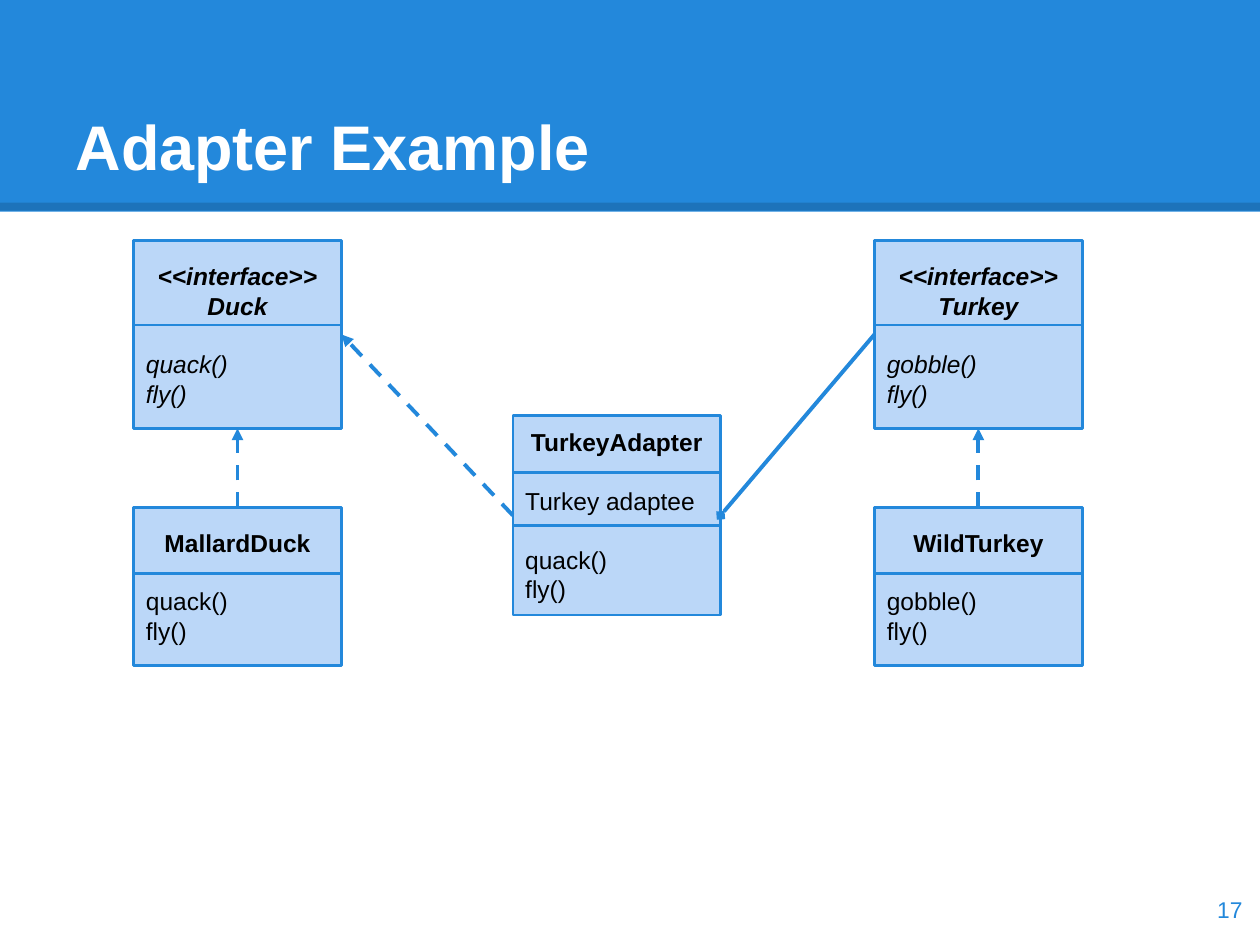
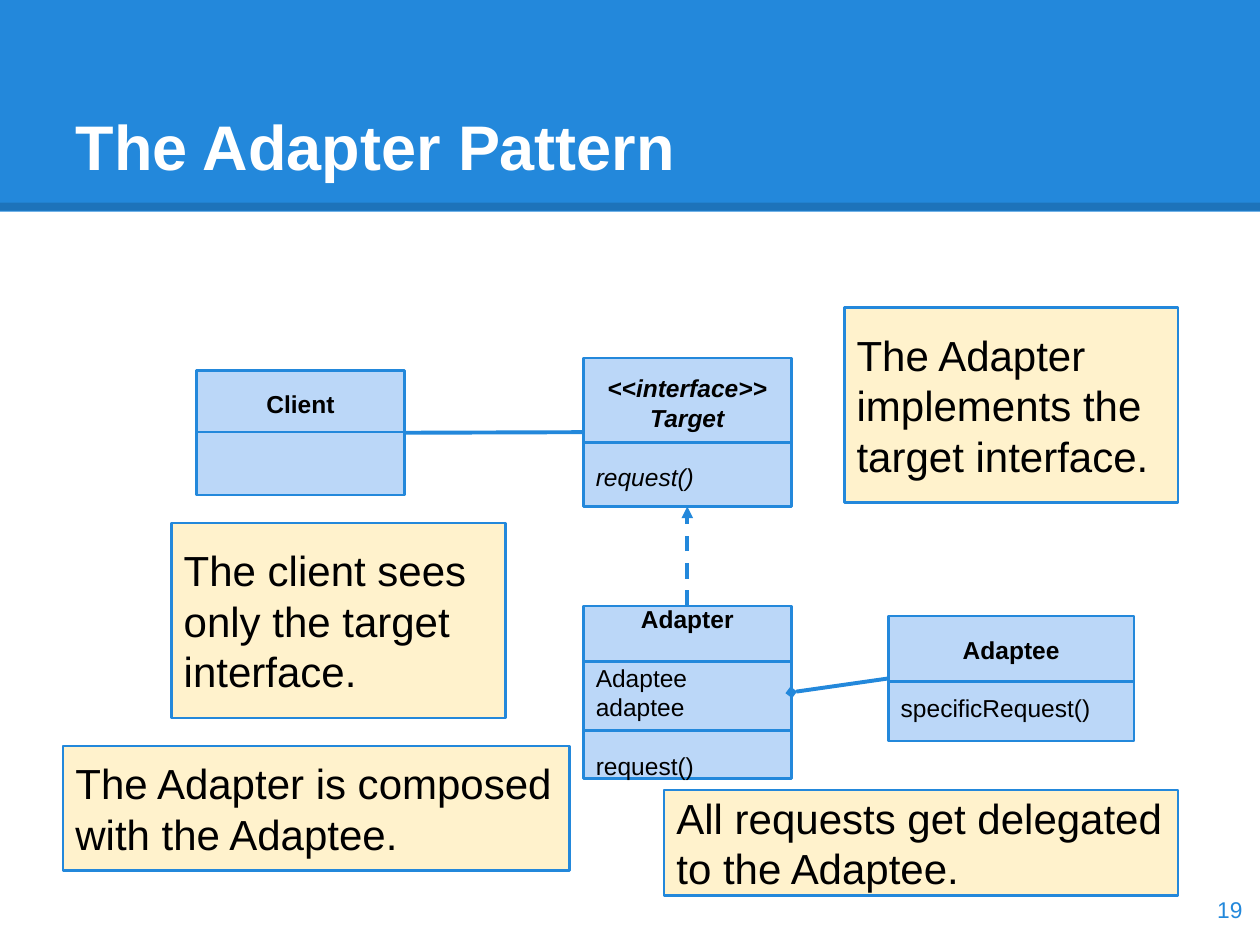
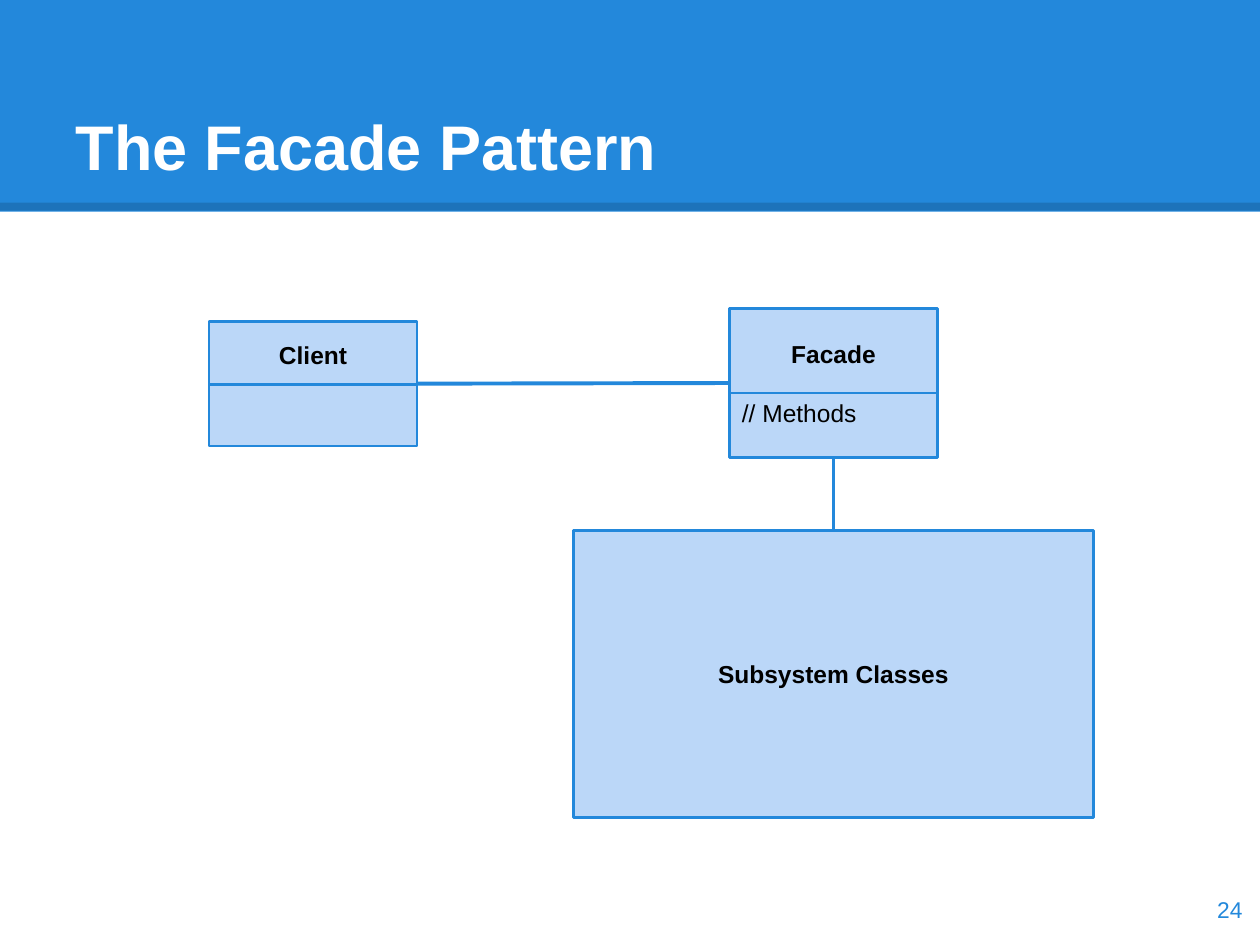
from lxml import etree
from pptx import Presentation
from pptx.dml.color import RGBColor
from pptx.enum import dml, shapes, text
from pptx.oxml.ns import qn
from pptx.util import Inches, Pt

COLORS = {
    "blue": "2388DB",
    "class": "BBD7F8",
    "note": "FFF2CC",
    "ink": "000000",
    "white": "FFFFFF",
}
FONT = "Arial"
CLASS_W = 1.65
INSET = 0.1
LINE_PT = 16.7  # height of one line of class text
TOP, LEFT, BOTTOM, RIGHT = range(4)  # connection sites of a rectangle


def rgb(name):
    return RGBColor.from_string(COLORS[name])


def style_runs(paragraph, size, color="ink", bold=False, italic=False):
    for run in paragraph.runs:
        font = run.font
        font.name, font.size = FONT, Pt(size)
        font.bold, font.italic = bold, italic
        font.color.rgb = rgb(color)


def set_frame(frame, anchor=text.MSO_ANCHOR.MIDDLE):
    frame.word_wrap = True
    frame.auto_size = text.MSO_AUTO_SIZE.NONE
    frame.vertical_anchor = anchor
    frame.margin_left = frame.margin_right = Inches(INSET)
    frame.margin_top = frame.margin_bottom = Inches(INSET)


def add_box(slide, x, y, w, h, fill, outlined=True):
    box = slide.shapes.add_shape(
        shapes.MSO_SHAPE.RECTANGLE, Inches(x), Inches(y), Inches(w), Inches(h))
    box.shadow.inherit = False
    box.fill.solid()
    box.fill.fore_color.rgb = rgb(fill)
    if outlined:
        box.line.color.rgb = rgb("blue")
        box.line.width = Pt(1.5)
    else:
        box.line.fill.background()
    set_frame(box.text_frame)
    return box


def add_line(slide, x1, y1, x2, y2, width, color="blue"):
    line = slide.shapes.add_connector(
        shapes.MSO_CONNECTOR.STRAIGHT,
        Inches(x1), Inches(y1), Inches(x2), Inches(y2))
    line.line.color.rgb = rgb(color)
    line.line.width = Pt(width)
    etree.SubElement(line.element.spPr, qn("a:effectLst"))
    return line


def add_class(slide, x, y, h, name, *sections, dividers=(), w=CLASS_W,
              italic=False, empty_lines=0):
    """Draw a UML class: its name, then sections of members under dividers."""
    box = add_box(slide, x, y, w, h, "class")
    frame = box.text_frame
    frame.margin_bottom = Inches(INSET + empty_lines * LINE_PT / 72)
    frame.text = name
    heading = frame.paragraphs[0]
    heading.alignment = text.PP_ALIGN.CENTER
    style_runs(heading, 14, bold=True, italic=italic)
    for section in sections:
        for i, member in enumerate(section):
            paragraph = frame.add_paragraph()
            paragraph.text = member
            paragraph.alignment = text.PP_ALIGN.LEFT
            if i == 0:
                paragraph.space_before = Pt(LINE_PT)
            style_runs(paragraph, 14, italic=italic)
    for divider in dividers:
        add_line(slide, x, divider, x + w, divider, 1.5)
    return box


def add_note(slide, x, y, w, h, words):
    frame = add_box(slide, x, y, w, h, "note").text_frame
    frame.text = words
    frame.paragraphs[0].alignment = text.PP_ALIGN.LEFT
    style_runs(frame.paragraphs[0], 24)


def relate(slide, start, start_site, end, end_site, dashed=False,
           head=None, tail=None):
    """Connect two boxes, with optional ends at the start and the finish."""
    link = add_line(slide, 0, 0, 1, 1, 2.25)
    link.begin_connect(start, start_site)
    link.end_connect(end, end_site)
    if dashed:
        link.line.dash_style = dml.MSO_LINE.DASH
    outline = link.element.spPr.find(qn("a:ln"))
    for tag, kind in (("a:headEnd", head), ("a:tailEnd", tail)):
        if kind:
            etree.SubElement(outline, qn(tag), type=kind)


def implement(slide, start, start_site, end, end_site):
    relate(slide, start, start_site, end, end_site, dashed=True, tail="triangle")


def set_up_layout(layout, slide):
    """Give the layout its title place and the band behind the title."""
    title = layout.placeholders[0]
    title.left, title.top = Inches(0.5), Inches(0.3)
    title.width, title.height = Inches(9), Inches(1.25)
    band = add_box(slide, 0, 0, 10, 1.68, "blue", outlined=False)
    edge = add_line(slide, 0, 1.64, 10, 1.64, 4.5, "ink")
    shade = edge.element.spPr.find(".//" + qn("a:srgbClr"))
    etree.SubElement(shade, qn("a:alpha"), val="15000")
    for position, part in enumerate((band, edge), start=2):
        layout.shapes.element.insert(position, part.element)


def add_slide(prs, layout, heading, number):
    slide = prs.slides.add_slide(layout)
    title = slide.shapes.title.text_frame
    set_frame(title, text.MSO_ANCHOR.BOTTOM)
    title.text = heading
    title.paragraphs[0].alignment = text.PP_ALIGN.LEFT
    style_runs(title.paragraphs[0], 36, "white", bold=True)
    page = slide.shapes.add_textbox(
        Inches(9.36), Inches(6.93), Inches(0.6), Inches(0.57)).text_frame
    set_frame(page)
    page.text = str(number)
    page.paragraphs[0].alignment = text.PP_ALIGN.RIGHT
    style_runs(page.paragraphs[0], 13, "blue")
    return slide


def draw_example(slide):
    # Each bird interface stands above its implementation
    birds = []
    for x, kind, concrete, call in ((1.06, "Duck", "MallardDuck", "quack()"),
                                    (6.94, "Turkey", "WildTurkey", "gobble()")):
        members = (call, "fly()")
        interface = add_class(slide, x, 1.91, 1.49, f"<<interface>> {kind}",
                              members, dividers=[2.58], italic=True)
        bird = add_class(slide, x, 4.03, 1.25, concrete, members, dividers=[4.55])
        implement(slide, bird, TOP, interface, BOTTOM)
        birds.append(interface)
    duck, turkey = birds

    # The adapter joins both
    adapter = add_class(slide, 4.07, 3.3, 1.58, "TurkeyAdapter",
                        ["Turkey adaptee"], ["quack()", "fly()"],
                        dividers=[3.75, 4.17])
    implement(slide, adapter, LEFT, duck, RIGHT)
    relate(slide, adapter, RIGHT, turkey, LEFT, head="diamond")


def draw_adapter_pattern(slide):
    # Classes
    client = add_class(slide, 1.56, 2.94, 0.99, "Client",
                       dividers=[3.43], empty_lines=2)
    target = add_class(slide, 4.63, 2.84, 1.18, "<<interface>> Target",
                       ["request()"], dividers=[3.51], italic=True)
    adapter = add_class(slide, 4.63, 4.81, 1.37, "Adapter",
                        ["Adaptee adaptee"], ["request()"],
                        dividers=[5.25, 5.8])
    adaptee = add_class(slide, 7.05, 4.89, 0.99, "Adaptee",
                        ["specificRequest()"], dividers=[5.41], w=1.95)

    # Relations
    implement(slide, adapter, TOP, target, BOTTOM)
    relate(slide, client, RIGHT, target, LEFT)
    relate(slide, adaptee, LEFT, adapter, RIGHT, tail="diamond")

    # Notes
    add_note(slide, 1.36, 4.15, 2.65, 1.55, "The client sees only the target interface.")
    add_note(slide, 6.7, 2.44, 2.65, 1.55, "The Adapter implements the target interface.")
    add_note(slide, 0.5, 5.92, 4.02, 0.99, "The Adapter is composed with the Adaptee.")
    add_note(slide, 5.27, 6.27, 4.08, 0.84, "All requests get delegated to the Adaptee.")


def draw_facade_pattern(slide):
    client = add_class(slide, 1.66, 2.55, 0.99, "Client",
                       dividers=[3.05], empty_lines=2)
    facade = add_class(slide, 5.79, 2.45, 1.18, "Facade",
                       ["// Methods"], dividers=[3.12])
    subsystem = add_class(slide, 4.55, 4.21, 2.28, "Subsystem Classes", w=4.13)
    relate(slide, client, RIGHT, facade, LEFT)
    relate(slide, subsystem, TOP, facade, BOTTOM)


def main():
    prs = Presentation()
    prs.slide_width, prs.slide_height = Inches(10), Inches(7.5)
    layout = prs.slide_layouts[5]

    example = add_slide(prs, layout, "Adapter Example", 17)
    set_up_layout(layout, example)
    draw_example(example)
    draw_adapter_pattern(add_slide(prs, layout, "The Adapter Pattern", 19))
    draw_facade_pattern(add_slide(prs, layout, "The Facade Pattern", 24))
    prs.save("out.pptx")


if __name__ == "__main__":
    main()
